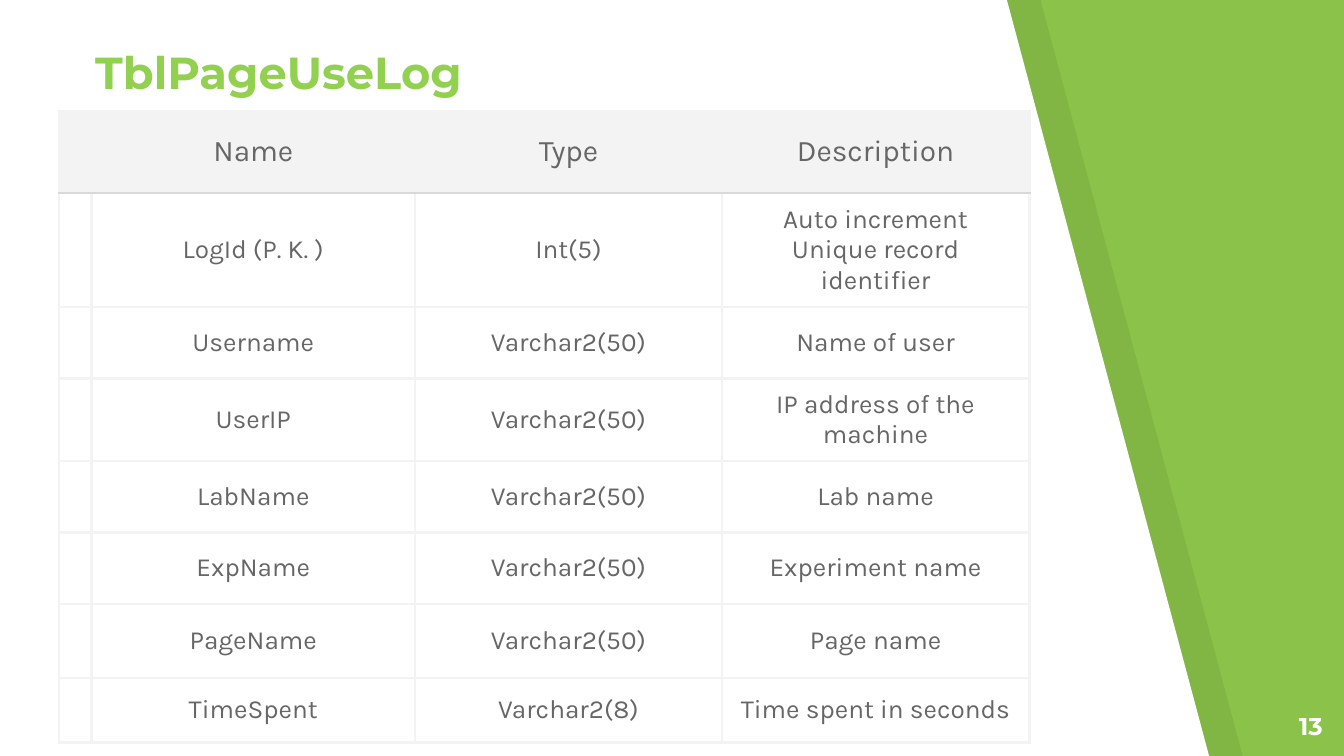
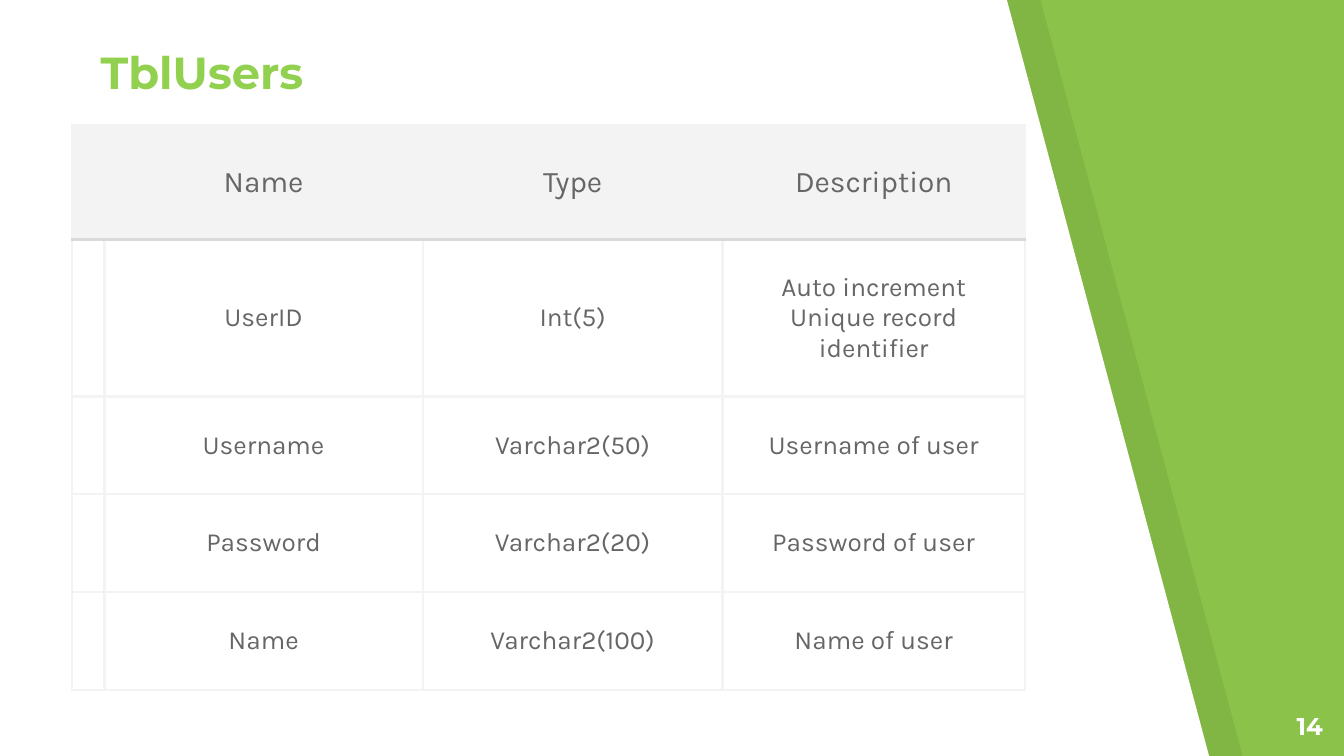
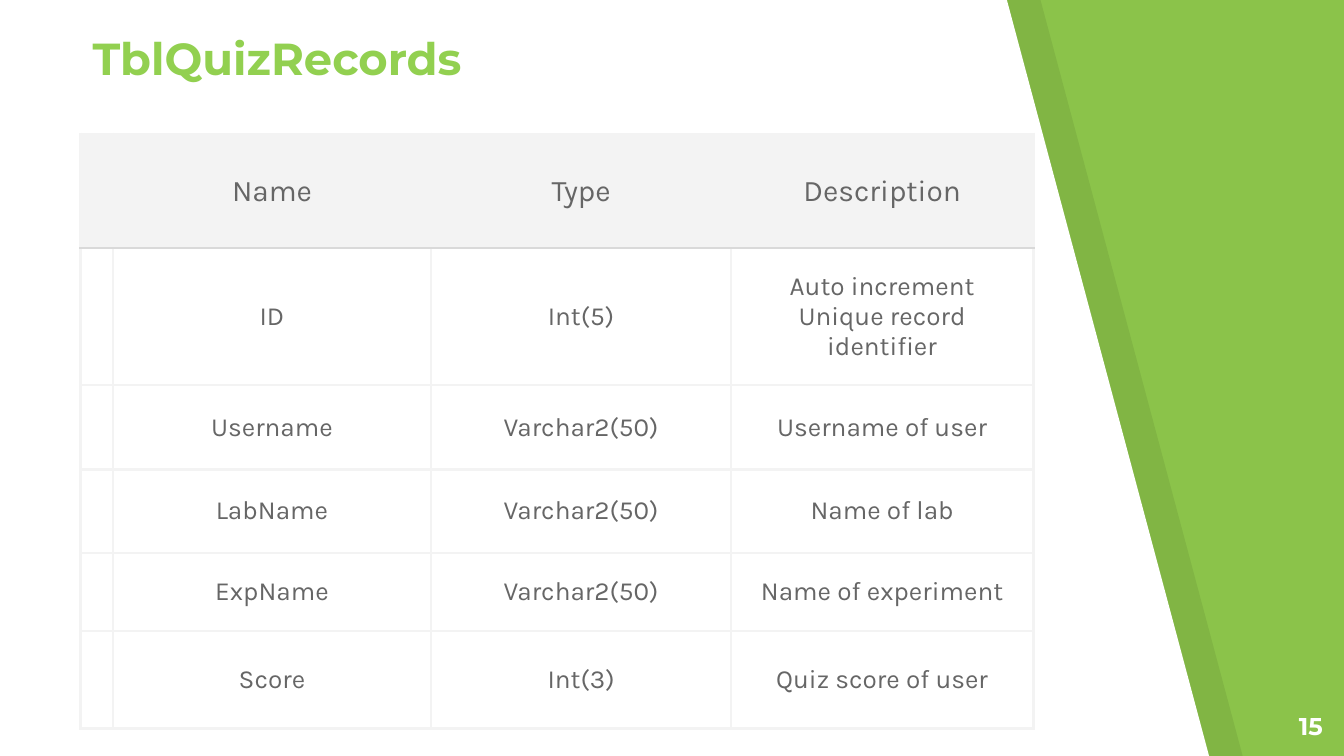
"""Build three slides that describe database tables."""
from lxml.etree import SubElement
from pptx import Presentation
from pptx.dml.color import RGBColor
from pptx.enum.text import MSO_ANCHOR, PP_ALIGN
from pptx.oxml.ns import qn
from pptx.util import Pt

GREEN = RGBColor(0x8B, 0xC3, 0x4A)
TITLE_GREEN = RGBColor(0x92, 0xD0, 0x50)
SHADE = RGBColor(0x00, 0x00, 0x00)
WHITE = RGBColor(0xFF, 0xFF, 0xFF)
TEXT_GRAY = RGBColor(0x66, 0x66, 0x66)
LIGHT_GRAY = RGBColor(0xF3, 0xF3, 0xF3)
RULE_GRAY = RGBColor(0xD9, 0xD9, 0xD9)
HEADING_FONT = "Montserrat"
BODY_FONT = "Karla"

HEADER = ("Name", "Type", "Description")
KEY_TEXT = "Auto increment\nUnique record identifier"
WIDE_COLS = (17.3, 173.5, 164.2, 164.9)
NARROW_COLS = (16.6, 170.6, 160.6, 162)

SLIDES = [
    (13, "TblPageUseLog", (43.9, 27.4), (31.7, 59.4), WIDE_COLS,
     (43.9, 42.5, 38.2, 38.2, 38.2, 38.2, 39.6, 34.6),
     [("LogId (P. K. )", "Int(5)", KEY_TEXT),
      ("Username", "Varchar2(50)", "Name of user"),
      ("UserIP", "Varchar2(50)", "IP address of the machine"),
      ("LabName", "Varchar2(50)", "Lab name"),
      ("ExpName", "Varchar2(50)", "Experiment name"),
      ("PageName", "Varchar2(50)", "Page name"),
      ("TimeSpent", "Varchar2(8)", "Time spent in seconds")]),
    (14, "TblUsers", (46.8, 27.4), (38.7, 67), NARROW_COLS,
     (61.2, 84.2, 52.4, 52.4, 52.4),
     [("UserID", "Int(5)", KEY_TEXT),
      ("Username", "Varchar2(50)", "Username of user"),
      ("Password", "Varchar2(20)", "Password of user"),
      ("Name", "Varchar2(100)", "Name of user")]),
    (15, "TblQuizRecords", (42.5, 20.2), (43.2, 71.8), NARROW_COLS,
     (61.2, 73.4, 45.2, 44.6, 41.8, 52.4),
     [("ID", "Int(5)", KEY_TEXT),
      ("Username", "Varchar2(50)", "Username of user"),
      ("LabName", "Varchar2(50)", "Name of lab"),
      ("ExpName", "Varchar2(50)", "Name of experiment"),
      ("Score", "Int(3)", "Quiz score of user")]),
]


def write(tf, text, font, size, color, align, bold=False):
    for i, line in enumerate(text.split("\n")):
        p = tf.add_paragraph() if i else tf.paragraphs[0]
        p.alignment = align
        r = p.add_run()
        r.text = line
        r.font.name = font
        r.font.size = Pt(size)
        r.font.bold = bold
        r.font.color.rgb = color


def add_label(s, box, text, size, color, align, anchor):
    tf = s.shapes.add_textbox(*map(Pt, box)).text_frame
    tf.word_wrap = True
    tf.vertical_anchor = anchor
    tf.margin_left = tf.margin_right = tf.margin_top = tf.margin_bottom = Pt(7.2)
    write(tf, text, HEADING_FONT, size, color, align, True)


prs = Presentation()
prs.slide_width, prs.slide_height = Pt(720), Pt(405)
bg = prs.slide_master.background.fill
bg.solid()
bg.fore_color.rgb = GREEN

for number, title, title_at, table_at, cols, heights, fields in SLIDES:
    s = prs.slides.add_slide(prs.slide_layouts[6])

    for left, color in ((18, SHADE), (0, WHITE)):
        fb = s.shapes.build_freeform(Pt(left), Pt(-0.5), 1.0)
        fb.add_line_segments([(Pt(left), Pt(406)), (Pt(left + 648), Pt(406)),
                              (Pt(left + 539.3), Pt(-0.5))])
        sp = fb.convert_to_shape()
        sp.shadow.inherit = False
        sp.line.fill.background()
        sp.fill.solid()
        sp.fill.fore_color.rgb = color
        if color == SHADE:
            clr = sp.fill._xPr.find(qn("a:solidFill"))[0]
            SubElement(clr, qn("a:alpha"), val="7000")

    add_label(s, (*title_at, 397.4, 32.4), title, 24, TITLE_GREEN,
              PP_ALIGN.LEFT, MSO_ANCHOR.BOTTOM)

    rows = [HEADER, *fields]
    gf = s.shapes.add_table(len(rows), len(cols), *map(Pt, table_at),
                            Pt(sum(cols)), Pt(sum(heights)))
    tbl = gf.table
    tbl.horz_banding = False
    for col, width in zip(tbl.columns, cols):
        col.width = Pt(width)
    for i, (row, height, texts) in enumerate(zip(tbl.rows, heights, rows)):
        row.height = Pt(height)
        for cell, text in zip(row.cells, ("", *texts)):
            cell.vertical_anchor = MSO_ANCHOR.MIDDLE
            cell.margin_left = cell.margin_right = Pt(7.2)
            cell.margin_top = cell.margin_bottom = Pt(5.4)
            for side in ("L", "R", "T", "B"):
                under_header = (i, side) in ((0, "B"), (1, "T"))
                ln = SubElement(cell._tc.get_or_add_tcPr(), qn("a:ln" + side),
                                w=str(Pt(1.5)))
                SubElement(SubElement(ln, qn("a:solidFill")), qn("a:srgbClr"),
                           val=str(RULE_GRAY if under_header else LIGHT_GRAY))
            if i == 0:
                cell.fill.solid()
                cell.fill.fore_color.rgb = LIGHT_GRAY
            else:
                cell.fill.background()
            if text:
                write(cell.text_frame, text, BODY_FONT, 14 if i else 16,
                      TEXT_GRAY, PP_ALIGN.CENTER)

    add_label(s, (672.5, 373.7, 43.2, 31), str(number), 13, WHITE,
              PP_ALIGN.RIGHT, MSO_ANCHOR.TOP)

prs.save("out.pptx")
